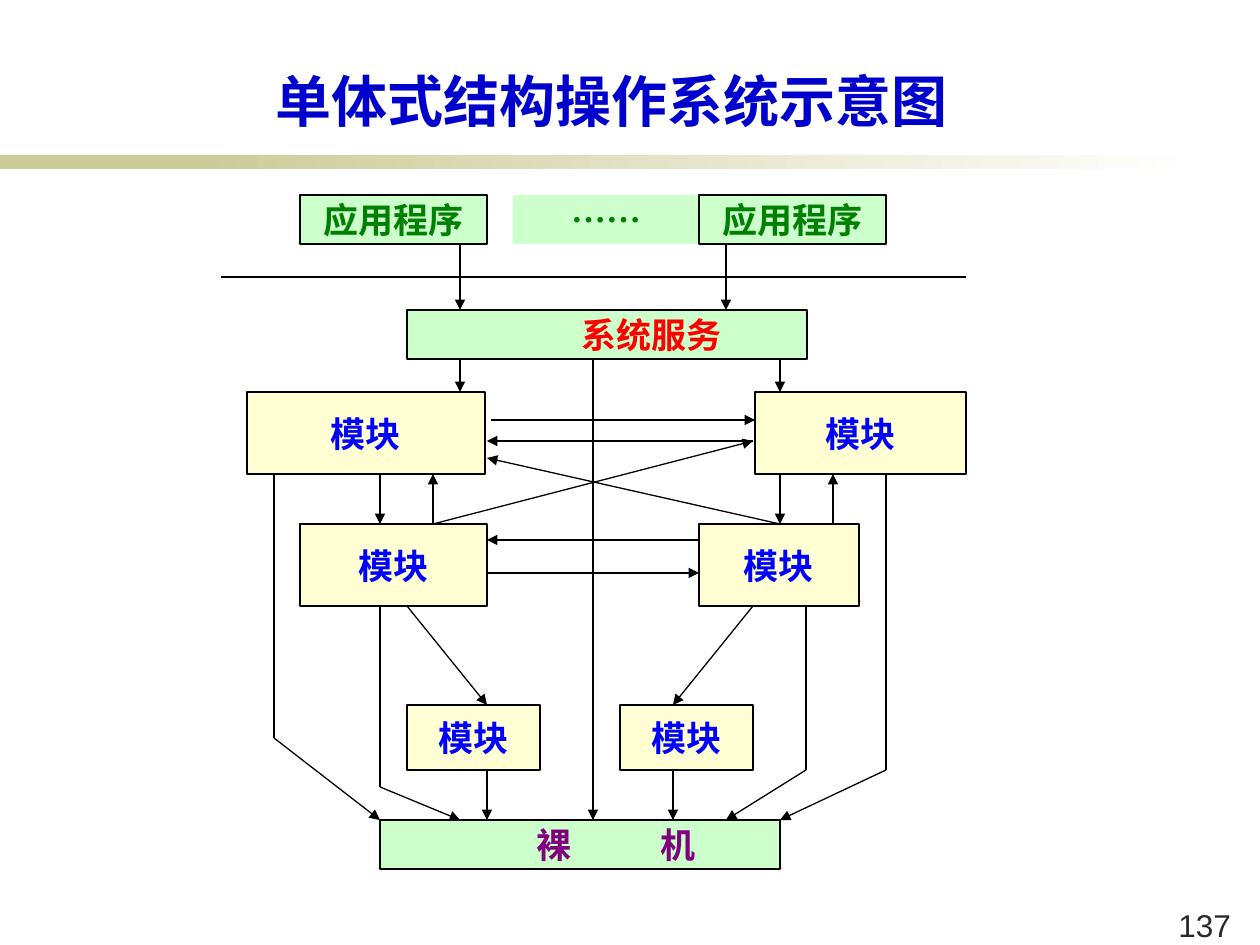
from dataclasses import dataclass
from itertools import pairwise

from lxml.etree import SubElement
from pptx import Presentation
from pptx.dml.color import RGBColor
from pptx.enum.shapes import MSO_CONNECTOR, MSO_SHAPE
from pptx.enum.text import MSO_ANCHOR as Anchor, MSO_AUTO_SIZE as AutoSize, PP_ALIGN as Align
from pptx.oxml.ns import qn
from pptx.util import Pt

EMU_PER_PX = 914400 / 126
CJK_FONT = "Noto Sans CJK SC"
COLORS = {
    "band": "CCCC99", "white": "FFFFFF", "black": "000000",
    "green_fill": "CCFFCC", "yellow_fill": "FFFFD3",
    "title": "0000CC", "application": "008000", "service": "FF0000",
    "module": "0000FF", "machine": "800080", "number": "292929",
}


@dataclass(frozen=True)
class Box:
    text: str
    left: int
    top: int
    width: int
    height: int
    ink: str
    fill: str = "green_fill"
    outlined: bool = True
    indent: int = 0  # left inset of left-aligned text; 0 centres the text
    tab: int = 0


@dataclass(frozen=True)
class Route:
    points: tuple[tuple[int, int], ...]
    arrow: bool = True


def px(value: int) -> int:
    return round(value * EMU_PER_PX)


def color(name: str) -> RGBColor:
    return RGBColor.from_string(COLORS[name])


def style(paragraph, font_name: str, size: int, ink: str, bold: bool = True) -> None:
    font = paragraph.font
    font.name, font.size, font.bold = font_name, Pt(size), bold
    font.color.rgb = color(ink)
    properties = paragraph._p.pPr.find(qn("a:defRPr"))
    SubElement(properties, qn("a:ea")).set("typeface", font_name)


def draw_rectangle(slide, left: int, top: int, width: int, height: int):
    shape = slide.shapes.add_shape(
        MSO_SHAPE.RECTANGLE, px(left), px(top), px(width), px(height))
    shape.shadow.inherit = False
    shape.line.fill.background()
    return shape


def draw_box(slide, box: Box) -> None:
    shape = draw_rectangle(slide, box.left, box.top, box.width, box.height)
    shape.fill.solid()
    shape.fill.fore_color.rgb = color(box.fill)
    if box.outlined:
        shape.line.color.rgb = color("black")
        shape.line.width = Pt(0.75)
    frame = shape.text_frame
    frame.vertical_anchor = Anchor.MIDDLE
    frame.margin_top = frame.margin_bottom = 0
    frame.text = box.text
    paragraph = frame.paragraphs[0]
    paragraph.alignment = Align.LEFT if box.indent else Align.CENTER
    if box.indent:
        frame.margin_left = px(box.indent)
    if box.tab:
        tabs = SubElement(paragraph._p.get_or_add_pPr(), qn("a:tabLst"))
        SubElement(tabs, qn("a:tab"), pos=str(px(box.tab)), algn="l")
    style(paragraph, CJK_FONT, 20, box.ink)


def draw_route(slide, route: Route) -> None:
    for start, end in pairwise(route.points):
        line = slide.shapes.add_connector(
            MSO_CONNECTOR.STRAIGHT, *map(px, start + end))
        line.line.color.rgb = color("black")
        line.line.width = Pt(0.75)
        if route.arrow and end == route.points[-1]:
            SubElement(line.line._get_or_add_ln(), qn("a:tailEnd"), type="triangle")
        SubElement(line._element.spPr, qn("a:effectLst"))


def module(left: int, top: int, width: int, height: int) -> Box:
    return Box("模块", left, top, width, height, "module", "yellow_fill")


def application(text: str, left: int, outlined: bool = True) -> Box:
    return Box(text, left, 195, 187, 49, "application", outlined=outlined)


BOXES = [
    application("应用程序", 300),
    application("……", 513, outlined=False),
    application("应用程序", 699),
    Box("系统服务", 407, 310, 400, 49, "service", indent=174),
    module(247, 392, 238, 82),
    module(755, 392, 211, 82),
    module(300, 524, 187, 82),
    module(699, 524, 160, 82),
    module(407, 705, 133, 65),
    module(620, 705, 133, 65),
    Box("裸\t机", 380, 820, 400, 49, "machine", indent=157, tab=123),
]

ROUTES = [
    # Boundary between applications and the system
    Route(((221, 277), (966, 277)), arrow=False),
    # Applications to system service, and service to modules
    Route(((460, 244), (460, 310))),
    Route(((726, 244), (726, 310))),
    Route(((460, 359), (460, 392))),
    Route(((780, 359), (780, 392))),
    # Calls between modules on the same level
    Route(((491, 420), (755, 420))),
    Route(((753, 441), (487, 441))),
    Route(((699, 540), (487, 540))),
    Route(((487, 573), (699, 573))),
    # Calls between the upper and middle levels
    Route(((380, 474), (380, 524))),
    Route(((433, 524), (433, 474))),
    Route(((780, 474), (780, 524))),
    Route(((833, 524), (833, 474))),
    Route(((780, 524), (487, 458))),
    Route(((433, 524), (753, 441))),
    # Middle level to lower level
    Route(((407, 606), (487, 705))),
    Route(((753, 606), (673, 705))),
    # Down to the bare machine
    Route(((487, 770), (487, 820))),
    Route(((673, 770), (673, 820))),
    Route(((380, 606), (380, 787), (460, 820))),
    Route(((806, 606), (806, 770), (726, 820))),
    Route(((274, 474), (274, 738), (380, 820))),
    Route(((886, 474), (886, 770), (780, 820))),
    Route(((593, 359), (593, 820))),
]


def draw_band(slide) -> None:
    solid = draw_rectangle(slide, 0, 155, 294, 14)
    solid.fill.solid()
    solid.fill.fore_color.rgb = color("band")
    fade = draw_rectangle(slide, 199, 155, 998, 14)
    fade.fill.gradient()
    fade.fill.gradient_angle = 0
    for stop, name, position in zip(fade.fill.gradient_stops, ("band", "white"), (0, 1)):
        stop.color.rgb = color(name)
        stop.position = position


def draw_title(slide) -> None:
    title = slide.shapes.title
    title.left, title.top, title.width, title.height = map(px, (105, 55, 1014, 79))
    frame = title.text_frame
    frame.auto_size = AutoSize.NONE
    frame.vertical_anchor = Anchor.BOTTOM
    frame.margin_bottom = 0
    frame.text = "单体式结构操作系统示意图"
    frame.paragraphs[0].alignment = Align.CENTER
    style(frame.paragraphs[0], "Noto Sans CJK JP", 32, "title")


def draw_page_number(slide) -> None:
    frame = slide.shapes.add_textbox(*map(px, (1166, 900, 79, 42))).text_frame
    frame.word_wrap = True
    frame.text = "137"
    style(frame.paragraphs[0], "Arial", 18, "number", bold=False)


def main() -> None:
    presentation = Presentation()
    presentation.slide_width, presentation.slide_height = px(1260), px(945)
    slide = presentation.slides.add_slide(presentation.slide_layouts[5])
    draw_band(slide)
    for box in BOXES:
        draw_box(slide, box)
    for route in ROUTES:
        draw_route(slide, route)
    draw_title(slide)
    draw_page_number(slide)
    presentation.save("out.pptx")


if __name__ == "__main__":
    main()
